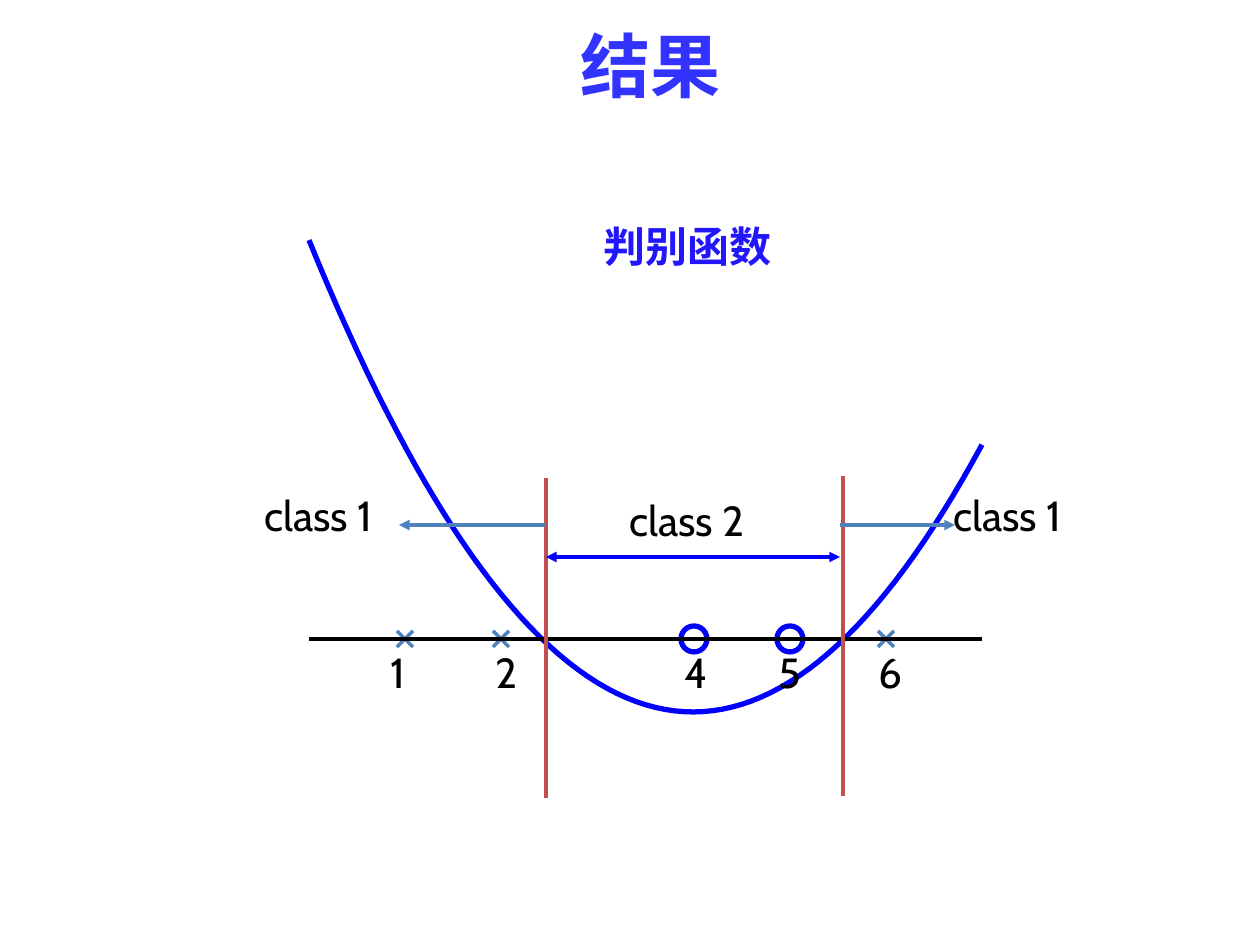
from lxml import etree
from pptx import Presentation
from pptx.dml.color import RGBColor
from pptx.enum.shapes import MSO_CONNECTOR, MSO_SHAPE
from pptx.enum.text import MSO_AUTO_SIZE, PP_ALIGN
from pptx.oxml.ns import qn
from pptx.util import Emu, Pt

STRAIGHT = MSO_CONNECTOR.STRAIGHT
OVAL = MSO_SHAPE.OVAL
FIT_SHAPE = MSO_AUTO_SIZE.SHAPE_TO_FIT_TEXT
LEFT, CENTER = PP_ALIGN.LEFT, PP_ALIGN.CENTER
EMU_PER_PX = 914400 // 126

BLACK, BLUE, STEEL, RED = "000000", "0000FF", "4F81BD", "C0504D"

TITLE = ("结果", 541, 16, 218, 97)
CURVE_LABEL = ("判别函数", 591, 214, 197, 64)
CLASS_LABELS = [("class 2", 617, 488), ("class 1", 941, 483), ("class 1", 252, 483)]
POINT_LABELS = [("1", 378), ("2", 483), ("4", 672), ("5", 766), ("6", 866)]
CROSS_CENTERS = [405, 501, 886]
CIRCLE_CENTERS = [694, 790]
BOUNDARIES = [(546, 478, 798), (843, 476, 796)]
ARROWS = [
    (546, 399, 525, STEEL, ["tailEnd"]),
    (840, 955, 525, STEEL, ["tailEnd"]),
    (546, 840, 557, BLUE, ["headEnd", "tailEnd"]),
]

AXIS_LEFT, AXIS_RIGHT, AXIS_Y = 309, 982, 639
VERTEX_X, VERTEX_Y, CURVATURE = 693, 712, 0.0032
CURVE_STEPS = 70
CROSS_RADIUS, CIRCLE_RADIUS = 8, 13


def px(value):
    return Emu(round(value * EMU_PER_PX))


def color(value):
    return RGBColor.from_string(value)


def set_line(shape, line_color, width):
    shape.line.color.rgb = color(line_color)
    shape.line.width = Pt(width)


def add_line(slide, start, end, line_color, width, arrowheads=()):
    connector = slide.shapes.add_connector(STRAIGHT, *map(px, start + end))
    set_line(connector, line_color, width)
    properties = connector._element.spPr
    line = properties.find(qn("a:ln"))
    for arrowhead in arrowheads:
        etree.SubElement(line, qn(f"a:{arrowhead}"), type="triangle")
    etree.SubElement(properties, qn("a:effectLst"))


def add_text(slide, text, left, top, width, height, font="Cabin", size=24,
             text_color=BLACK, bold=False, alignment=LEFT, wrap=False):
    box = slide.shapes.add_textbox(*map(px, (left, top, width, height)))
    frame = box.text_frame
    frame.text = text
    frame.word_wrap = wrap
    frame.auto_size = FIT_SHAPE
    paragraph = frame.paragraphs[0]
    paragraph.alignment = alignment
    run_font = paragraph.runs[0].font
    run_font.name = font
    run_font.size = Pt(size)
    run_font.bold = bold
    run_font.color.rgb = color(text_color)


def add_cross(slide, center):
    left, right = center - CROSS_RADIUS, center + CROSS_RADIUS
    top, bottom = AXIS_Y - CROSS_RADIUS, AXIS_Y + CROSS_RADIUS
    add_line(slide, (left, top), (right, bottom), STEEL, 2)
    add_line(slide, (right, top), (left, bottom), STEEL, 2)


def add_circle(slide, center):
    diameter = px(2 * CIRCLE_RADIUS)
    circle = slide.shapes.add_shape(
        OVAL, px(center - CIRCLE_RADIUS), px(AXIS_Y - CIRCLE_RADIUS), diameter, diameter)
    circle.shadow.inherit = False
    circle.fill.background()
    set_line(circle, BLUE, 3)


def add_curve(slide):
    step = (AXIS_RIGHT - AXIS_LEFT) / CURVE_STEPS
    xs = [AXIS_LEFT + step * index for index in range(CURVE_STEPS + 1)]
    points = [(px(x), px(VERTEX_Y - CURVATURE * (x - VERTEX_X) ** 2)) for x in xs]
    builder = slide.shapes.build_freeform(*points[0])
    builder.add_line_segments(points[1:], close=False)
    curve = builder.convert_to_shape()
    curve.shadow.inherit = False
    curve.fill.background()
    set_line(curve, BLUE, 3)


def main():
    presentation = Presentation()
    presentation.slide_width = px(1260)
    presentation.slide_height = px(945)
    slide = presentation.slides.add_slide(presentation.slide_layouts[6])

    add_text(slide, *TITLE, font="Calibri", size=40, text_color="3333FF",
             bold=True, alignment=CENTER, wrap=True)
    for center in CROSS_CENTERS:
        add_cross(slide, center)
    for center in CIRCLE_CENTERS:
        add_circle(slide, center)
    add_curve(slide)
    add_line(slide, (AXIS_LEFT, AXIS_Y), (AXIS_RIGHT, AXIS_Y), BLACK, 0)
    add_text(slide, *CURVE_LABEL, text_color="2116FC", bold=True)
    for text, left in POINT_LABELS:
        add_text(slide, text, left, 640, 48, 63)
    for x, top, bottom in BOUNDARIES:
        add_line(slide, (x, top), (x, bottom), RED, 2)
    for text, left, top in CLASS_LABELS:
        add_text(slide, text, left, top, 150, 63)
    for start, end, y, line_color, arrowheads in ARROWS:
        add_line(slide, (start, y), (end, y), line_color, 2, arrowheads)

    presentation.save("out.pptx")


if __name__ == "__main__":
    main()
